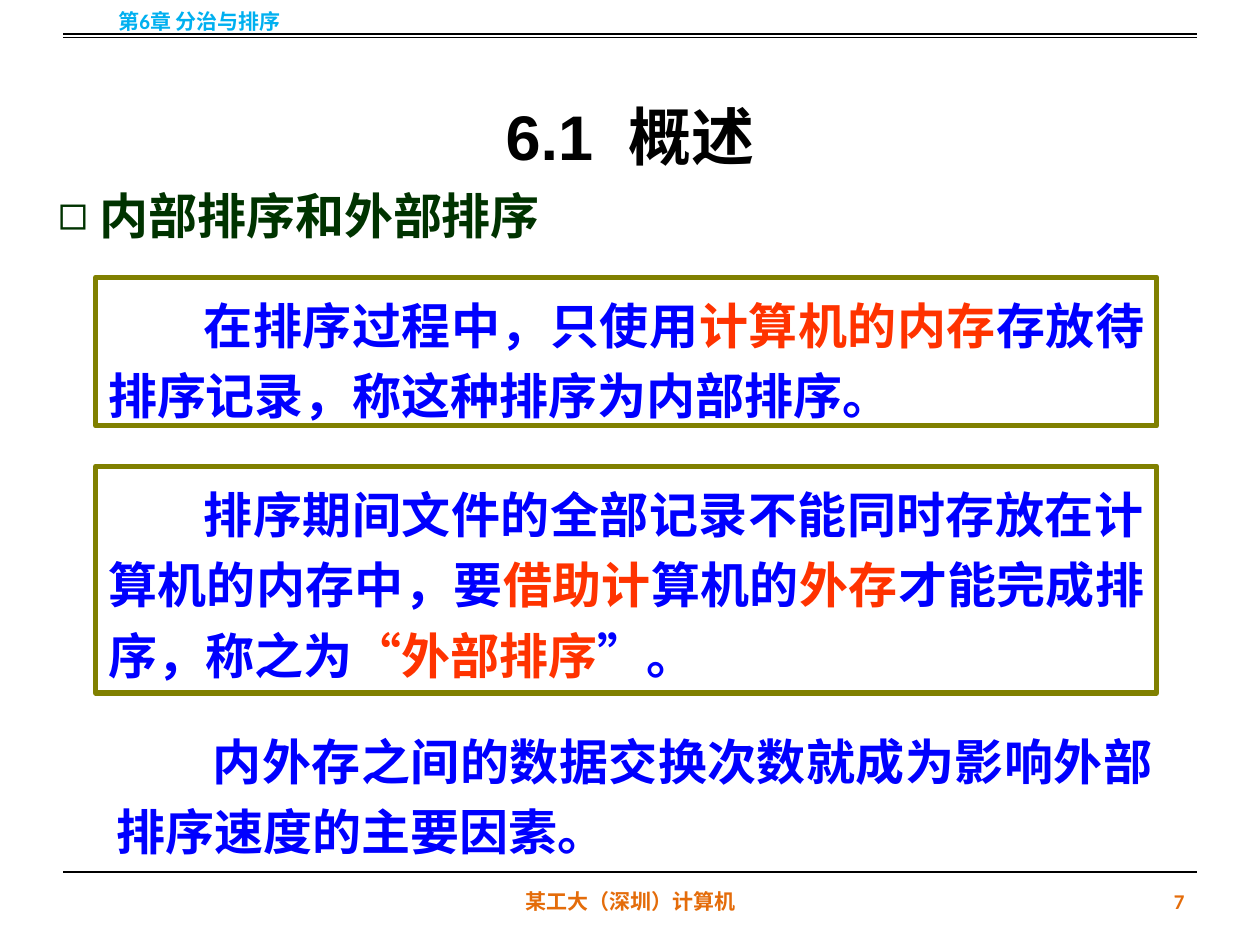
from dataclasses import dataclass

from lxml import etree
from pptx import Presentation
from pptx.dml.color import RGBColor
from pptx.enum.shapes import MSO_CONNECTOR, MSO_SHAPE
from pptx.enum.text import MSO_ANCHOR, MSO_AUTO_SIZE, PP_ALIGN
from pptx.oxml.ns import qn
from pptx.util import Inches, Pt

LEFT, CENTER, RIGHT, JUSTIFY = (
    PP_ALIGN.LEFT, PP_ALIGN.CENTER, PP_ALIGN.RIGHT, PP_ALIGN.JUSTIFY)
TOP, MIDDLE = MSO_ANCHOR.TOP, MSO_ANCHOR.MIDDLE
RECT = MSO_SHAPE.RECTANGLE
STRAIGHT = MSO_CONNECTOR.STRAIGHT


@dataclass(frozen=True)
class Theme:
    black: str = "000000"
    heading: str = "003300"
    body: str = "0000FF"
    accent: str = "FF3300"
    frame: str = "808000"
    chapter: str = "00B0F0"
    footer: str = "E46C0A"
    title_font: str = "Arial"
    body_font: str = "Times New Roman"
    small_font: str = "Calibri"
    title_size: int = 36
    body_size: int = 28
    small_size: int = 12


THEME = Theme()
FIRST_LINE = 0.76


def write(sp, runs, font=THEME.body_font, size=THEME.body_size, align=LEFT,
          anchor=TOP, line_spacing=None, space=None, margin=0, indent=0):
    """Fill a shape with one bold paragraph made of (text, colour) runs."""
    tf = sp.text_frame
    tf.word_wrap = True
    tf.auto_size = MSO_AUTO_SIZE.NONE
    tf.vertical_anchor = anchor
    p = tf.paragraphs[0]
    p.alignment = align
    if line_spacing:
        p.line_spacing = line_spacing
    if space is not None:
        p.space_before = p.space_after = Pt(space)
    pPr = p._p.get_or_add_pPr()
    pPr.set("marL", str(Inches(margin)))
    pPr.set("indent", str(Inches(indent)))
    for text, color in runs:
        r = p.add_run()
        r.text = text
        r.font.name = font
        r.font.size = Pt(size)
        r.font.bold = True
        r.font.color.rgb = RGBColor.from_string(color)
    return p


def place(sp, x, y, w, h):
    sp.left, sp.top, sp.width, sp.height = map(Inches, (x, y, w, h))


def add_small_text(slide, box, text, color, align):
    sp = slide.shapes.add_textbox(*map(Inches, box))
    write(sp, [(text, color)], font=THEME.small_font, size=THEME.small_size,
          align=align, anchor=MIDDLE)


def add_rule(slide, y):
    line = slide.shapes.add_connector(
        STRAIGHT, Inches(0.5), Inches(y), Inches(9.5), Inches(y))
    line.line.color.rgb = RGBColor.from_string(THEME.black)
    line.line.width = Pt(0.75)
    etree.SubElement(line._element.spPr, qn("a:effectLst"))


def add_paragraph_box(slide, box, runs, framed=True):
    box = map(Inches, box)
    if framed:
        sp = slide.shapes.add_shape(RECT, *box)
        sp.shadow.inherit = False
        sp.fill.background()
        sp.line.color.rgb = RGBColor.from_string(THEME.frame)
        sp.line.width = Pt(3)
    else:
        sp = slide.shapes.add_textbox(*box)
    write(sp, runs, align=JUSTIFY, line_spacing=1.2, indent=FIRST_LINE)


def add_title(slide, text):
    sp = slide.shapes.title
    place(sp, 0.5, 0.3, 9, 1.25)
    write(sp, [(text, THEME.black)], font=THEME.title_font,
          size=THEME.title_size, align=CENTER, anchor=MIDDLE,
          line_spacing=1.5, space=2)


def add_heading(slide, text):
    sp = slide.placeholders[1]
    place(sp, 0.36, 1.42, 7.17, 0.57)
    p = write(sp, [(text, THEME.heading)], margin=0.33, indent=-0.33)
    bullet = etree.SubElement(p._p.get_or_add_pPr(), qn("a:buChar"))
    bullet.set("char", "◻")


def main():
    prs = Presentation()
    prs.slide_width, prs.slide_height = Inches(10), Inches(7.5)
    slide = prs.slides.add_slide(prs.slide_layouts[1])

    add_title(slide, "6.1  概述")
    add_heading(slide, "内部排序和外部排序")

    for y in (0.27, 0.3, 6.92):
        add_rule(slide, y)
    add_small_text(slide, (0, -0.03, 3.17, 0.4), "第6章 分治与排序",
                   THEME.chapter, CENTER)
    add_small_text(slide, (3.42, 6.95, 3.17, 0.4), "某工大（深圳）计算机",
                   THEME.footer, CENTER)
    add_small_text(slide, (7.17, 6.95, 2.33, 0.4), "7", THEME.footer, RIGHT)

    body, accent = THEME.body, THEME.accent
    add_paragraph_box(slide, (0.76, 2.2, 8.42, 1.18), [
        ("在排序过程中，只使用", body),
        ("计算机的内存", accent),
        ("存放待排序记录，称这种排序为内部排序。", body),
    ])
    add_paragraph_box(slide, (0.76, 3.7, 8.42, 1.8), [
        ("排序期间文件的全部记录不能同时存放在计算机的内存中，要", body),
        ("借助计", accent),
        ("算机的", body),
        ("外存", accent),
        ("才能完成排序，称之为", body),
        ("“外部排序", accent),
        ("”。", body),
    ])
    add_paragraph_box(slide, (0.83, 5.66, 8.42, 1.22), [
        ("内外存之间的数据交换次数就成为影响外部排序速度的主要因素。", body),
    ], framed=False)

    prs.save("out.pptx")


if __name__ == "__main__":
    main()
